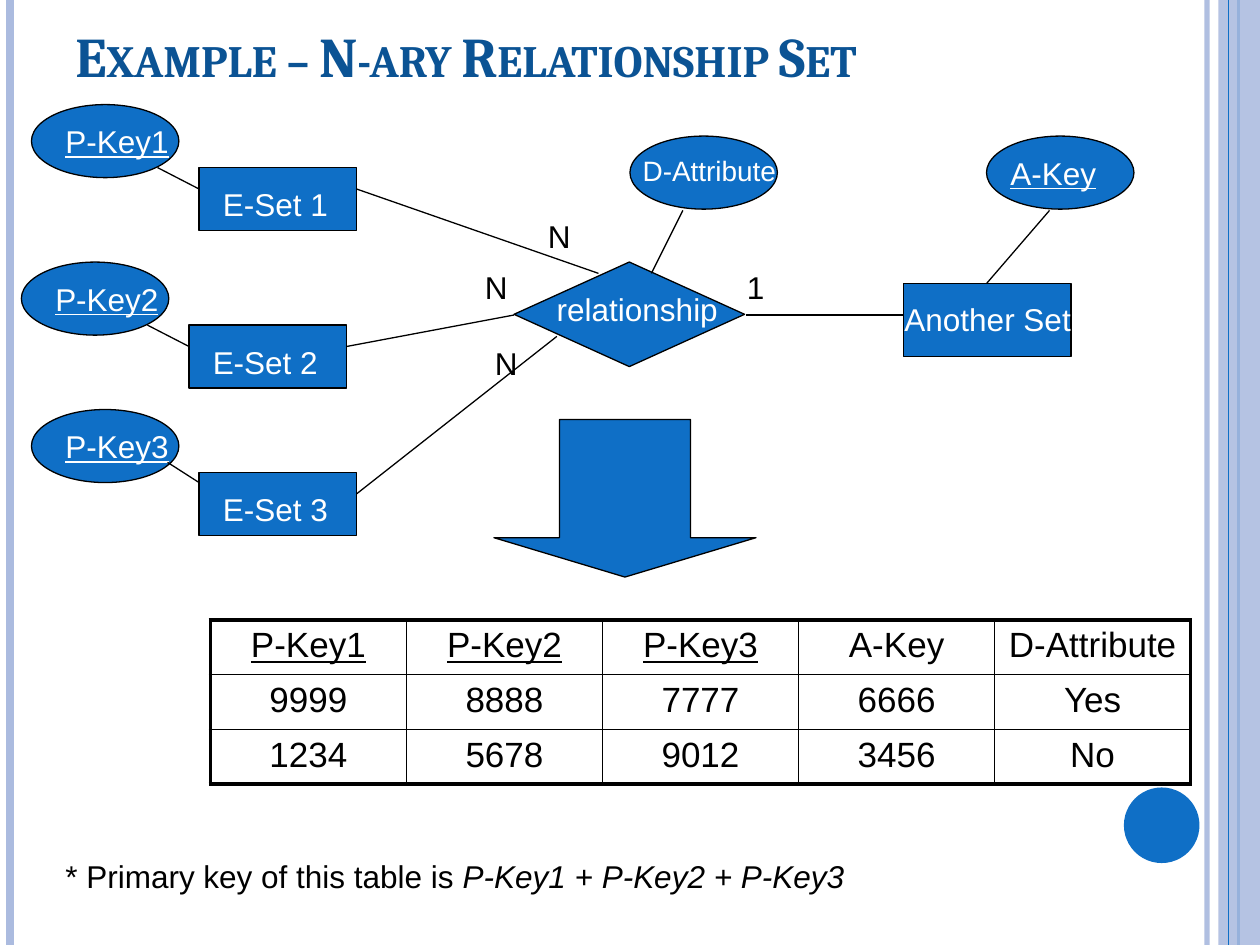
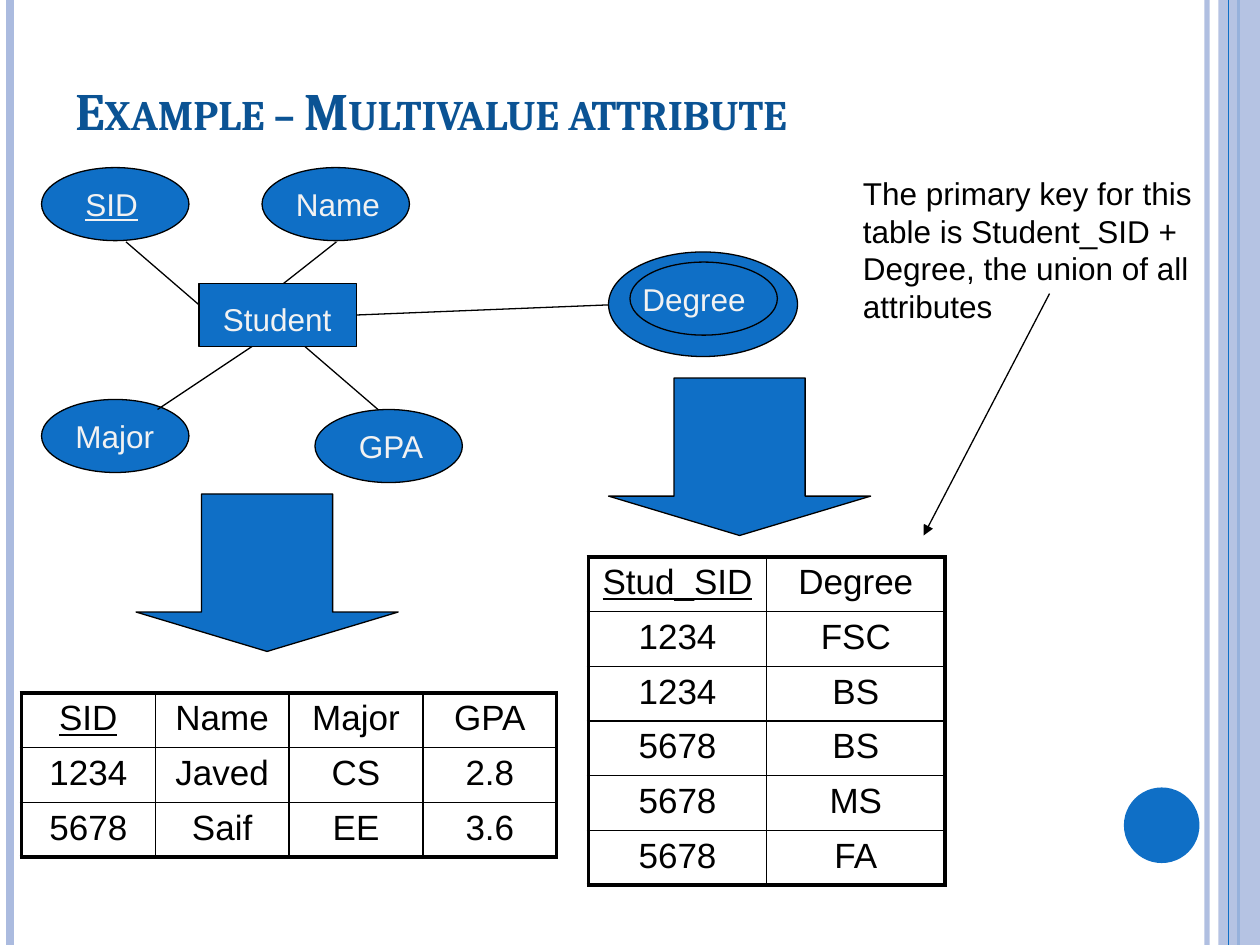
from dataclasses import dataclass

from pptx import Presentation
from pptx.dml.color import RGBColor as Rgb
from pptx.enum.shapes import MSO_CONNECTOR as Link, MSO_SHAPE as Kind
from pptx.enum.text import MSO_ANCHOR as Anchor, PP_ALIGN as Align
from pptx.oxml.ns import qn
from pptx.oxml.xmlchemy import OxmlElement as Node
from pptx.util import Inches, Pt


@dataclass(frozen=True)
class Theme:
    """Colours, fonts and sizes that all slides share."""
    blue: str = "0F6FC6"
    navy: str = "0B5394"
    pale: str = "ABBBDF"
    white: str = "FFFFFF"
    light: str = "F2F2F2"
    black: str = "000000"
    head: str = "Cambria"
    body: str = "Arial"
    small: int = 16
    text: int = 18
    cell: int = 20
    thin: float = 0.75
    grid: float = 1
    edge: float = 2.25


T = Theme()
OVAL = (1.17, 0.58)
BLOCK = (1.25, 0.5)
ARROW = (2.08, 1.25)
ROW = 0.41


def style(item, values):
    """Set each named value on the item."""
    for name, value in values.items():
        setattr(item, name, value)


def shift(base, point):
    """Return a point moved by the base."""
    return base[0] + point[0], base[1] + point[1]


def fade(shape, share):
    """Make the first colour of a shape partly clear."""
    alpha = Node("a:alpha")
    alpha.set("val", str(share * 1000))
    shape._element.spPr.find(".//" + qn("a:srgbClr")).append(alpha)


def add_run(para, text, color, **form):
    """Add one run in the body font unless told otherwise."""
    run = para.add_run()
    run.text = text
    size = Pt(form.pop("size", T.text))
    style(run.font, {"name": T.body, "size": size, **form})
    run.font.color.rgb = Rgb.from_string(color)
    return run


def write(slide, box, text, color=T.black, align=Align.LEFT, wrap=True,
          anchor=Anchor.TOP, **form):
    """Add a text box and return its paragraph and first run."""
    frame = slide.shapes.add_textbox(*map(Inches, box)).text_frame
    style(frame, {"word_wrap": wrap, "vertical_anchor": anchor})
    para = frame.paragraphs[0]
    para.alignment = align
    return para, add_run(para, text, color, **form)


def draw(slide, kind, at, span, fill=T.blue, edge=T.black):
    """Add a filled preset shape, with a thin edge if one is named."""
    shape = slide.shapes.add_shape(kind, *map(Inches, (*at, *span)))
    shape.shadow.inherit = False
    shape.fill.solid()
    shape.fill.fore_color.rgb = Rgb.from_string(fill)
    if edge:
        shape.line.color.rgb = Rgb.from_string(edge)
        shape.line.width = Pt(T.thin)
    else:
        shape.line.fill.background()
    return shape


def join(slide, start, end, color=T.black, width=T.thin, arrow=False):
    """Add a straight line between two points."""
    line = slide.shapes.add_connector(
        Link.STRAIGHT, *map(Inches, (*start, *end)))
    line.line.color.rgb = Rgb.from_string(color)
    line.line.width = Pt(width)
    if arrow:
        tip = Node("a:tailEnd")
        tip.set("type", "triangle")
        line._element.spPr.find(qn("a:ln")).append(tip)
    line._element.spPr.append(Node("a:effectLst"))
    return line


def label(slide, kind, at, span, text, inset, width, color=T.white, **form):
    """Add a shape with its label set in from its corner."""
    draw(slide, kind, at, span)
    write(slide, (*shift(at, inset), width, 0.4), text, color, **form)


def drop(slide, at):
    """Add the wide arrow that leads down to a table."""
    shape = draw(slide, Kind.DOWN_ARROW, at, ARROW)
    for spot, value in enumerate((0.5, 0.25)):
        shape.adjustments[spot] = value


def rule(cell, widths):
    """Draw the left, right, top and bottom borders of a cell."""
    props = cell._tc.get_or_add_tcPr()
    for spot, (side, width) in enumerate(zip("LRTB", widths)):
        line = Node(f"a:ln{side}")
        line.set("w", str(Pt(width)))
        fill, color = Node("a:solidFill"), Node("a:srgbClr")
        color.set("val", T.black)
        fill.append(color)
        line.append(fill)
        props.insert(spot, line)


def chart(slide, at, width, rows, keys):
    """Add a ruled table whose first heads are underlined keys."""
    high, wide = len(rows), len(rows[0])
    span = (width, ROW * high)
    grid = slide.shapes.add_table(
        high, wide, *map(Inches, (*at, *span))).table
    style(grid, {"first_row": False, "horz_banding": False})
    for r, row in enumerate(rows):
        for c, text in enumerate(row):
            cell = grid.cell(r, c)
            cell.fill.solid()
            cell.fill.fore_color.rgb = Rgb.from_string(T.white)
            para = cell.text_frame.paragraphs[0]
            para.alignment = Align.CENTER
            add_run(para, text, T.black, size=T.cell,
                    underline=r == 0 and c < keys)
            outer = (c == 0, c == wide - 1, r == 0, r == high - 1)
            rule(cell, [T.edge if out else T.grid for out in outer])


def frame(deck, title, height, size):
    """Add a slide with side bands, disc and title."""
    slide = deck.slides.add_slide(deck.slide_layouts[6])

    def band(x, color, width):
        """Add one line down the full slide."""
        return join(slide, (x, 0), (x, 7.5), color, width)

    fade(band(9.58, T.pale, 3), 93)
    band(0.08, T.pale, 4.5)
    band(9.83, T.blue, 1.5)
    fade(draw(slide, Kind.RECTANGLE, (9.67, 0), (0.33, 7.5), T.pale, None), 87)
    band(9.75, T.blue, T.thin)
    draw(slide, Kind.OVAL, (8.92, 6.25), (0.6, 0.6), edge=None)
    _, run = write(slide, (0.5, 0.17, 9, height), title, T.navy,
                   anchor=Anchor.BOTTOM, name=T.head, size=size, bold=True)
    run._r.get_or_add_rPr().set("cap", "small")
    return slide


def member(slide, at, mark, bond, goal):
    """Add a key, its entity set and the line to the relationship."""
    label(slide, Kind.OVAL, at, OVAL, f"P-Key{mark}", (0.17, 0.09), 1.08,
          underline=True)
    label(slide, Kind.RECTANGLE, shift(at, (1.33, 0.5)), BLOCK,
          f"E-Set {mark}", (0.09, 0.09), 1.08)
    join(slide, *(shift(at, point) for point in bond))
    join(slide, shift(at, (2.58, 0.67)), goal)


def partner(slide, at):
    """Add the other entity set with its key."""
    label(slide, Kind.RECTANGLE, at, (1.33, 0.58), "Another Set",
          (-0.09, 0.08), 1.58)
    label(slide, Kind.OVAL, shift(at, (0.66, -1.17)), OVAL, "A-Key",
          (0.09, 0.09), 1.08, underline=True)
    join(slide, shift(at, (1.16, -0.58)), shift(at, (0.66, 0)))


def centre(slide, at):
    """Add the relationship with its attribute and counts."""
    label(slide, Kind.FLOWCHART_DECISION, at, (1.83, 0.83), "relationship",
          (0.24, 0.17), 1.68)
    label(slide, Kind.OVAL, shift(at, (0.92, -1)), OVAL, "D-Attribute",
          (-0.08, 0.09), 1.42, size=T.small, align=Align.CENTER)
    join(slide, shift(at, (1.09, 0.09)), shift(at, (1.34, -0.41)))
    join(slide, shift(at, (1.84, 0.42)), shift(at, (3.09, 0.42)))
    counts = (("N", -0.25, 0.6), ("N", 0.17, -0.41),
              ("N", -0.33, 0), ("1", 1.75, 0))
    for text, *point in counts:
        write(slide, (*shift(at, point), 0.38, 0.4), text, wrap=False)


def nary(deck):
    """Build the slide on relationships of many sets."""
    slide = frame(deck, "Example – N-ary Relationship Set", 0.58, 32)
    near, low = ((1, 0.5), (1.33, 0.67)), ((1.08, 0.42), (1.33, 0.58))
    sets = (((0.25, 0.83), near, (4.75, 2.17)),
            ((0.17, 2.08), near, (4.08, 2.5)),
            ((0.25, 3.25), low, (4.42, 2.67)))
    for mark, (at, bond, goal) in enumerate(sets, 1):
        member(slide, at, mark, bond, goal)
    centre(slide, (4.08, 2.08))
    partner(slide, (7.17, 2.25))
    drop(slide, (3.92, 3.33))
    rows = (("P-Key1", "P-Key2", "P-Key3", "A-Key", "D-Attribute"),
            ("9999", "8888", "7777", "6666", "Yes"),
            ("1234", "5678", "9012", "3456", "No"))
    chart(slide, (1.67, 4.92), 7.78, rows, 3)
    para, _ = write(slide, (0.42, 6.75, 9.08, 0.4),
                    "* Primary key of this table is ")
    add_run(para, "P-Key1 + P-Key2 + P-Key3", T.black, italic=True)


def student(slide, at):
    """Add the student with its four plain attributes."""
    label(slide, Kind.RECTANGLE, at, BLOCK, "Student", (0.09, 0.08), 1.08,
          T.light)
    parts = (("SID", (-1.25, -0.92), 0.25, ((-0.58, -0.33), (0, 0.17))),
             ("Name", (0.5, -0.92), 0.17, ((1.09, -0.33), (0.67, 0))),
             ("Major", (-1.25, 0.92), 0.17, ((-0.33, 1), (0.42, 0.5))),
             ("GPA", (0.92, 1), 0.25, ((1.42, 1), (0.84, 0.5))))
    for text, point, inset, ends in parts:
        label(slide, Kind.OVAL, shift(at, point), OVAL, text,
              (inset, 0.09), 0.92, T.light, underline=text == "SID")
        join(slide, *(shift(at, end) for end in ends))


def degree(slide, at):
    """Add the double oval of the attribute with many values."""
    draw(slide, Kind.OVAL, at, (1.5, 0.83))
    label(slide, Kind.OVAL, shift(at, (0.17, 0.08)), OVAL, "Degree",
          (0, 0.09), 1.17, T.light)
    join(slide, shift(at, (0, 0.42)), shift(at, (-2, 0.5)))


def multi(deck):
    """Build the slide on attributes with many values."""
    slide = frame(deck, "Example – Multivalue attribute", 1, 30)
    student(slide, (1.58, 2.25))
    degree(slide, (4.83, 2))
    for at in ((1.08, 3.92), (4.83, 3)):
        drop(slide, at)
    people = (("SID", "Name", "Major", "GPA"),
              ("1234", "Javed", "CS", "2.8"),
              ("5678", "Saif", "EE", "3.6"))
    chart(slide, (0.17, 5.5), 4.25, people, 1)
    grades = (("Stud_SID", "Degree"), ("1234", "FSC"), ("1234", "BS"),
              ("5678", "BS"), ("5678", "MS"), ("5678", "FA"))
    chart(slide, (4.67, 4.42), 2.83, grades, 1)
    write(slide, (6.75, 1.33, 3, 1.31),
          "The primary key for this table is Student_SID + Degree, "
          "the union of all attributes")
    join(slide, (8.33, 2.33), (7.33, 4.25), arrow=True)


def main():
    """Build and save the deck."""
    deck = Presentation()
    style(deck, {"slide_width": Inches(10), "slide_height": Inches(7.5)})
    nary(deck)
    multi(deck)
    deck.save("out.pptx")


if __name__ == "__main__":
    main()
